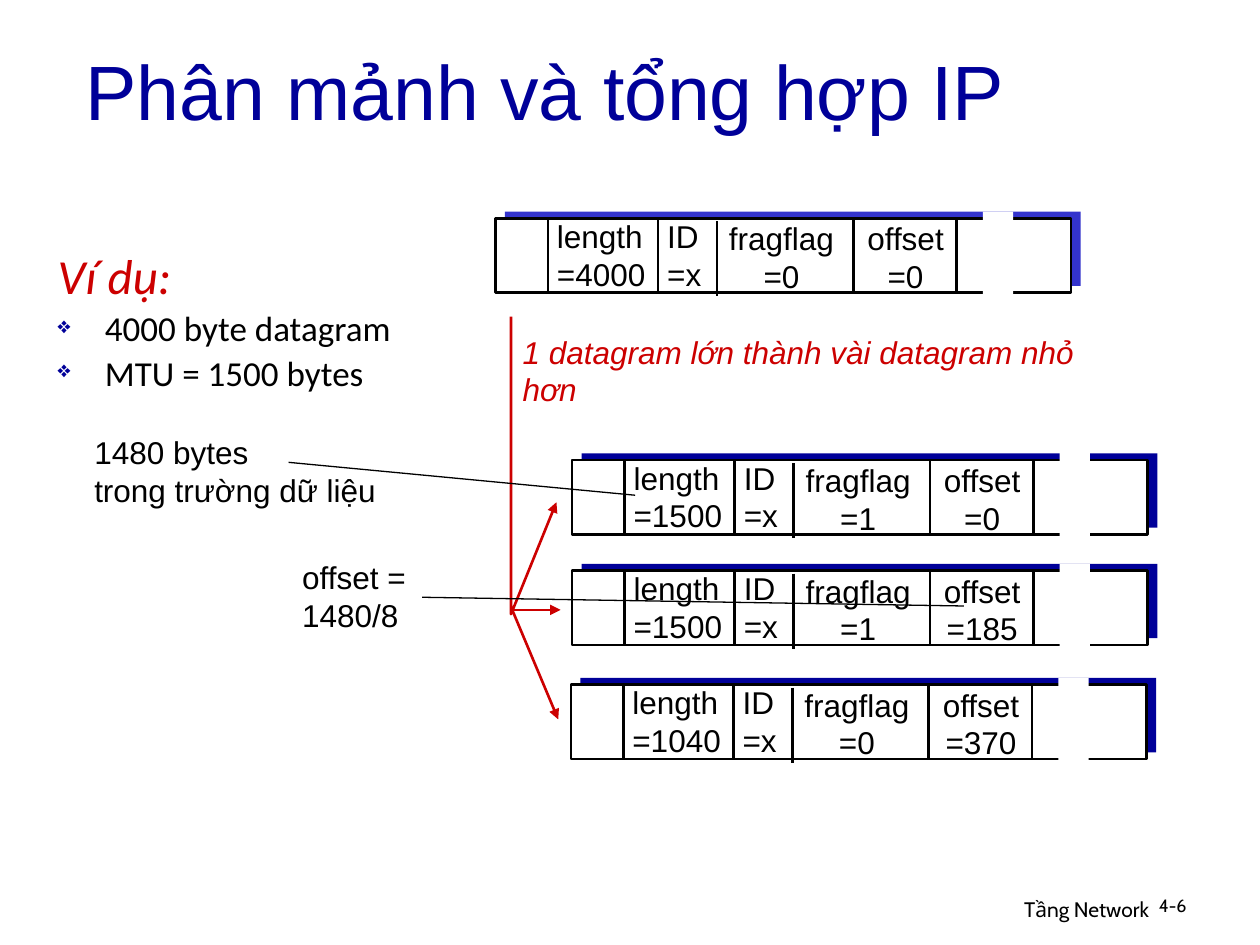
from pptx import Presentation
from pptx.dml.color import RGBColor
from pptx.enum.shapes import MSO_CONNECTOR as Link, MSO_SHAPE as Form
from pptx.enum.text import MSO_ANCHOR as Anchor, PP_ALIGN as Align
from pptx.oxml.ns import qn
from pptx.util import Pt
from lxml.etree import SubElement as Sub

BLACK = RGBColor(0x00, 0x00, 0x00)
WHITE = RGBColor(0xFF, 0xFF, 0xFF)
NAVY = RGBColor(0x00, 0x00, 0x99)
BLUE = RGBColor(0x33, 0x33, 0xCC)
RED = RGBColor(0xCC, 0x00, 0x00)

deck = Presentation()
deck.slide_width, deck.slide_height = Pt(720), Pt(540)
slide = deck.slides.add_slide(deck.slide_layouts[6])
shapes = slide.shapes


def write(box, lines, color=BLACK, align=Align.LEFT, wrap=False, **extra):
    look = {"name": "Arial", "size": Pt(18), "italic": False, **extra}
    area = shapes.add_textbox(*map(Pt, box)).text_frame
    area.word_wrap = wrap
    for i, line in enumerate(lines):
        para = area.paragraphs[0] if i == 0 else area.add_paragraph()
        para.alignment = align
        run = para.add_run()
        run.text = line
        run.font.color.rgb = color
        for key, value in look.items():
            setattr(run.font, key, value)
    return area


def draw(ends, color=BLACK, width=1.5, arrow=False):
    if len(ends) == 2:
        (x1, y1), (x2, y2) = ends
        stroke = shapes.add_connector(Link.STRAIGHT, Pt(x1), Pt(y1), Pt(x2), Pt(y2))
        Sub(stroke._element.spPr, qn("a:effectLst"))
    else:
        path = shapes.build_freeform(*ends[0], scale=Pt(1))
        path.add_line_segments(ends[1:], close=False)
        stroke = path.convert_to_shape()
        stroke.fill.background()
        stroke.shadow.inherit = False
    stroke.line.color.rgb = color
    stroke.line.width = Pt(width)
    if arrow:
        Sub(stroke.line._get_or_add_ln(), qn("a:tailEnd"), type="triangle")


write((435.6, 509, 228.2, 22), ["Tầng Network"], align=Align.RIGHT, wrap=True,
      name="Cabin", size=Pt(12))
page = write((655.2, 509, 53.3, 22), ["4-6"], wrap=True, name="Cabin", size=Pt(10.2))
page.paragraphs[0].line_spacing = 0.9

rows = [
    (283.1, 124.7, BLUE, "4000", "0", "0"),
    (326.9, 262.8, NAVY, "1500", "1", "0"),
    (326.9, 326, NAVY, "1500", "1", "185"),
    (326.2, 391.2, NAVY, "1040", "0", "370"),
]
rules = [(30, 0), (92.9, 0), (126.7, 1.8), (204.5, 0), (263.5, 0)]

for x, y, shade, size, flag, start in rows:
    blocks = [
        (5.5, -3.8, 329, 42.5, shade, False),
        (0, 0, 329, 42.5, WHITE, True),
        (278.6, -3.8, 17.3, 47.5, WHITE, False),
    ]
    fields = [
        (91.1, -4.3, 33.8, "ID", "x", Align.LEFT),
        (205.2, -2.9, 58.3, "offset", start, Align.CENTER),
        (126.4, -2.9, 74.2, "fragflag", flag, Align.CENTER),
        (28.1, -4.3, 64.8, "length", size, Align.LEFT),
    ]
    for dx, dy, wide, high, fill, edge in blocks:
        block = shapes.add_shape(Form.RECTANGLE, Pt(x + dx), Pt(y + dy), Pt(wide), Pt(high))
        block.shadow.inherit = False
        block.fill.solid()
        block.fill.fore_color.rgb = fill
        if edge:
            block.line.color.rgb = BLACK
            block.line.width = Pt(1.5)
        else:
            block.line.fill.background()
    for dx, dy, wide, name, value, align in fields:
        write((x + dx, y + dy, wide, 50.4), [name, f"={value}"], align=align)
    for dx, dy in rules:
        draw([(x + dx, y + dy), (x + dx, y + dy + 42.8)])

draw([(292.3, 180.7), (292.3, 350.6), (318.2, 287.3)], RED, arrow=True)
draw([(292.3, 348.5), (320.4, 348.5)], RED, arrow=True)
draw([(293, 349.2), (319, 411.1)], RED, arrow=True)
write((291.6, 186.5, 365, 28.8), ["1 datagram lớn thành vài datagram nhỏ hơn"], RED, italic=True)

case = write((25.9, 141.8, 223.2, 132.5),
             ["Ví dụ:", "4000 byte datagram", "MTU = 1500 bytes"],
             wrap=True, name="Calibri", size=Pt(20))
for i, para in enumerate(case.paragraphs):
    para.line_spacing = 0.85
    para.space_before = Pt(5 if i else 7)
    props = para._p.get_or_add_pPr()
    props.set("marL", str(Pt(27)))
    props.set("indent", str(Pt(-27)))
    if i:
        Sub(Sub(props, qn("a:buClr")), qn("a:srgbClr"), val=str(NAVY))
        Sub(props, qn("a:buSzPct"), val="65000")
        Sub(props, qn("a:buChar"), char="❖")
head = case.paragraphs[0].runs[0].font
head.size, head.italic, head.color.rgb = Pt(28), True, RED

write((46.8, 244.1, 180, 50.4), ["1480 bytes", "trong trường dữ liệu"])
write((165.6, 315.4, 74.2, 50.4), ["offset =", "1480/8"])
title = write((41.8, 14.4, 612, 73.4), ["Phân mảnh và tổng hợp IP"], NAVY,
              wrap=True, size=Pt(44))
title.vertical_anchor = Anchor.MIDDLE

draw([(164.9, 264.2), (362.9, 283)], width=0.75)
draw([(550.8, 346.3), (241.2, 341.3)], width=0.75)

deck.save("out.pptx")
